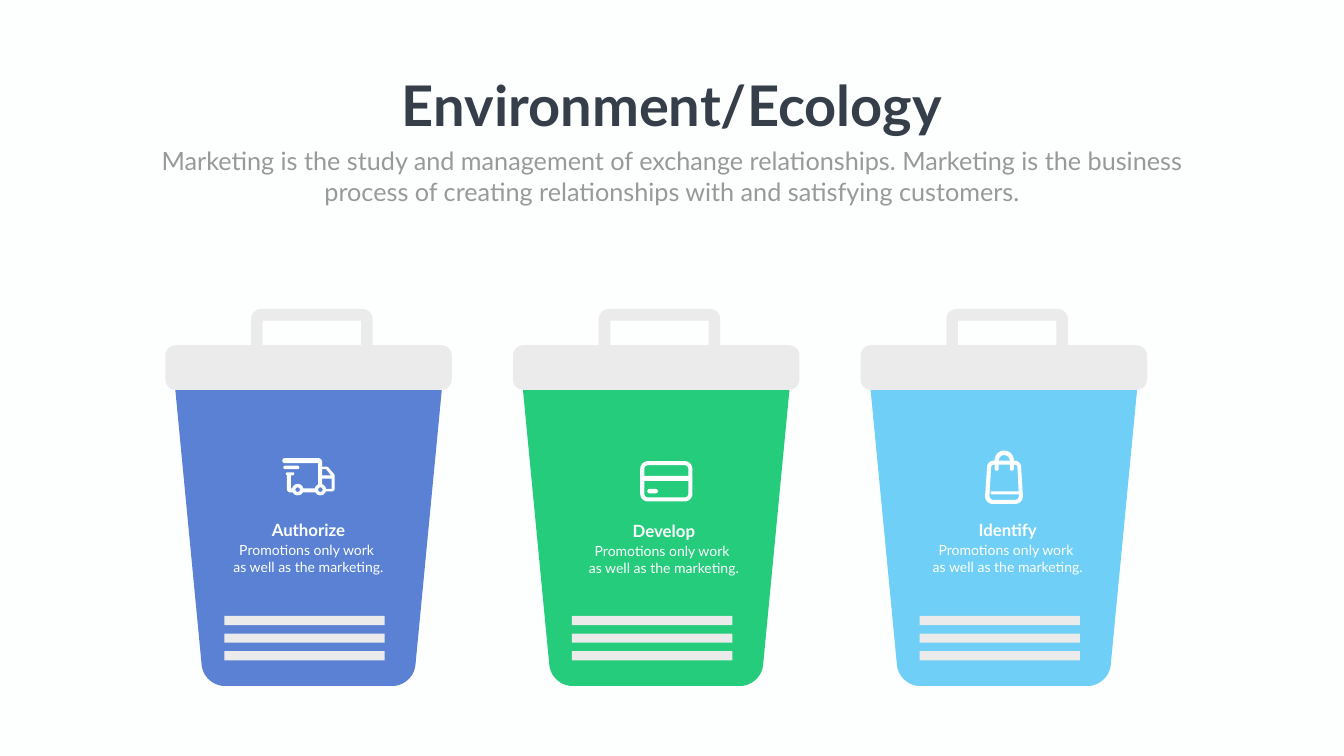
from dataclasses import dataclass
from math import dist
from typing import NamedTuple

from pptx import Presentation
from pptx.dml.color import RGBColor
from pptx.enum.shapes import MSO_SHAPE
from pptx.enum.text import MSO_ANCHOR, MSO_AUTO_SIZE, PP_ALIGN
from pptx.util import Pt

RECTANGLE = MSO_SHAPE.RECTANGLE
ROUNDED = MSO_SHAPE.ROUNDED_RECTANGLE
DONUT = MSO_SHAPE.DONUT
TOP = MSO_ANCHOR.TOP
NO_FIT = MSO_AUTO_SIZE.NONE
CENTER = PP_ALIGN.CENTER


@dataclass(frozen=True)
class Theme:
    font: str = "Lato"
    paper: str = "FDFFFE"
    ink: str = "353E49"
    muted: str = "989998"
    metal: str = "EAEBEA"
    blue: str = "5A81D4"
    green: str = "24CC7B"
    sky: str = "70CFF6"
    title: int = 80
    subtitle: int = 36
    label: int = 24
    caption: int = 20


THEME = Theme()


class Corner(NamedTuple):
    """Polygon corner; cut is how far along each edge its rounding starts."""
    x: float
    y: float
    cut: float = 0


class Preset(NamedTuple):
    kind: MSO_SHAPE
    left: float
    top: float
    width: float
    height: float
    adjustment: float | None = None


class Outline(NamedTuple):
    contours: list[list[Corner]]


class Bin(NamedTuple):
    label: str
    color: str
    icon: list[Preset | Outline]
    icon_at: tuple[float, float]
    label_at: tuple[float, float]


def rounded_box(left: float, top: float, width: float, height: float, cut: float) -> list[Corner]:
    right, bottom = left + width, top + height
    return [Corner(x, y, cut) for x, y in ((left, top), (right, top), (right, bottom), (left, bottom))]


TRUCK = [
    Outline([[Corner(0, 0, 3.6), Corner(56.9, 0, 5.8), Corner(56.9, 40.3), Corner(51.1, 41),
              Corner(51.1, 7.2), Corner(0, 7.2, 3.6)]]),
    Outline([[Corner(56.2, 12.2), Corner(64.8, 12.2, 2), Corner(74.9, 23.8, 1.4),
              Corner(74.9, 47.5, 4), Corner(58.3, 47.5), Corner(59.8, 43.9), Corner(70.6, 43.9),
              Corner(70.6, 25.9), Corner(62.6, 15.8), Corner(56.2, 15.8)]]),
    Outline([[Corner(6.5, 22.3), Corner(12.2, 22.3), Corner(12.2, 43.2), Corner(17.3, 43.2),
              Corner(18, 49), Corner(6.5, 49, 5)]]),
    Preset(RECTANGLE, 54, 24.5, 19.4, 4.7),
    Preset(RECTANGLE, 27.4, 43.2, 22.3, 5.8),
    Preset(DONUT, 13.7, 36.7, 16.6, 16.6, 0.3),
    Preset(DONUT, 46.1, 36.7, 16.6, 16.6, 0.3),
    Preset(ROUNDED, 1.4, 10.8, 23, 5, 0.5),
    Preset(ROUNDED, 5, 20.2, 12.2, 4.3, 0.5),
]
CARD = [
    Preset(RECTANGLE, 4, 20.9, 67.7, 7.2),
    Preset(ROUNDED, 10.1, 39.6, 15.1, 6.5, 0.5),
    Outline([rounded_box(0, 0, 74.5, 57.6, 11), rounded_box(5.8, 5.8, 62.9, 46, 5.4)]),
]
BAG = [
    Preset(RECTANGLE, 7.9, 58.3, 42.5, 4.3),
    Outline([[Corner(3.5, 14.4, 8.6), Corner(51, 14.4, 8.6), Corner(54.7, 76.3, 12), Corner(-0.7, 76.3, 12)],
             [Corner(8.9, 20.2, 3.6), Corner(46.1, 20.2, 3.6), Corner(48.6, 70.6, 6.5), Corner(5.9, 70.6, 6.5)]]),
    Outline([[Corner(13.7, 28.8, 2.8), Corner(13.7, 0, 13.6), Corner(41, 0, 13.6), Corner(41, 28.8, 2.8),
              Corner(35.3, 28.8, 2.8), Corner(35.3, 6.5, 7.9), Corner(19.4, 6.5, 7.9), Corner(19.4, 28.8, 2.8)]]),
]

BIN_LEFT, BIN_TOP, BIN_STEP = 236.2, 441.4, 496.5
BODY = Outline([[Corner(9.7, 68.4, 34), Corner(399.3, 68.4, 34), Corner(354.3, 538.6, 30), Corner(54.7, 538.6, 30)]])
FITTINGS = [
    Preset(ROUNDED, 0, 51.8, 409, 63.7, 0.23),
    Outline([rounded_box(122.4, 0, 173.5, 91.4, 14.4), rounded_box(139, 16.6, 140.4, 59, 0)]),
    *(Preset(RECTANGLE, 84.2, 438.5 + 25.2 * row, 229, 13) for row in range(3)),
]
BINS = [
    Bin("Authorize", THEME.blue, TRUCK, (403.2, 654.5), (372.2, 739.4)),
    Bin("Develop", THEME.green, CARD, (914.4, 658.8), (879.8, 740.9)),
    Bin("Identify", THEME.sky, BAG, (1406.9, 643.7), (1370.9, 739.4)),
]
CAPTION = ["Promotions only work ", "as well as the marketing."]


def toward(start, end, share: float) -> tuple[float, float]:
    return tuple(a + (b - a) * share for a, b in zip(start[:2], end[:2]))


def trace(corners: list[Corner], steps: int = 10) -> list[tuple[int, int]]:
    """Turn rounded corners into the points of a closed polygon."""
    points = []
    for index, corner in enumerate(corners):
        if not corner.cut:
            points.append(corner[:2])
            continue
        before, after = corners[index - 1], corners[(index + 1) % len(corners)]
        start, end = (toward(corner, other, corner.cut / dist(corner[:2], other[:2])) for other in (before, after))
        pull_in, pull_out = toward(start, corner, 0.55), toward(end, corner, 0.55)
        for step in range(steps + 1):
            t = step / steps
            weights = ((1 - t) ** 3, 3 * t * (1 - t) ** 2, 3 * t * t * (1 - t), t ** 3)
            curve = (start, pull_in, pull_out, end)
            points.append(tuple(sum(w * p[axis] for w, p in zip(weights, curve)) for axis in (0, 1)))
    return [(Pt(x), Pt(y)) for x, y in points]


def draw_part(page, part: Preset | Outline, left: float, top: float, color: str) -> None:
    if isinstance(part, Preset):
        shape = page.shapes.add_shape(part.kind, Pt(left + part.left), Pt(top + part.top),
                                      Pt(part.width), Pt(part.height))
        if part.adjustment is not None:
            shape.adjustments[0] = part.adjustment
    else:
        first, *others = [trace(contour) for contour in part.contours]
        builder = page.shapes.build_freeform(*first[0], scale=1.0)
        builder.add_line_segments(first[1:], close=True)
        for points in others:
            builder.move_to(*points[0])
            builder.add_line_segments(points[1:], close=True)
        shape = builder.convert_to_shape(Pt(left), Pt(top))
    shape.shadow.inherit = False
    shape.fill.solid()
    shape.fill.fore_color.rgb = RGBColor.from_string(color)
    shape.line.fill.background()


def write(box, lines: list[str], size: int, color: str, bold: bool = False, wrap: bool = True) -> None:
    frame = box.text_frame
    for name, value in {"word_wrap": wrap, "auto_size": NO_FIT, "vertical_anchor": TOP}.items():
        setattr(frame, name, value)
    for index, line in enumerate(lines):
        para = frame.add_paragraph() if index else frame.paragraphs[0]
        para.alignment, para.space_before = CENTER, Pt(0)
        span = para.add_run()
        span.text = line
        for name, value in {"name": THEME.font, "size": Pt(size), "bold": bold}.items():
            setattr(span.font, name, value)
        span.font.color.rgb = RGBColor.from_string(color)


def place(box, left: float, top: float, width: float, height: float) -> None:
    for name, value in {"left": left, "top": top, "width": width, "height": height}.items():
        setattr(box, name, Pt(value))


def draw_bin(page, item: Bin, left: float) -> None:
    draw_part(page, BODY, left, BIN_TOP, item.color)
    for part in FITTINGS:
        draw_part(page, part, left, BIN_TOP, THEME.metal)
    for part in item.icon:
        draw_part(page, part, *item.icon_at, THEME.paper)
    x, y = item.label_at
    label = page.shapes.add_textbox(Pt(x), Pt(y), Pt(136.8), Pt(36))
    write(label, [item.label], THEME.label, THEME.paper, bold=True)
    caption = page.shapes.add_textbox(Pt(x - 53.3), Pt(y + 31.2), Pt(243.4), Pt(55.4))
    write(caption, CAPTION, THEME.caption, THEME.paper)


def main() -> None:
    deck = Presentation()
    deck.slide_width, deck.slide_height = Pt(1919.5), Pt(1080)
    page = deck.slides.add_slide(deck.slide_layouts[0])
    page.background.fill.solid()
    page.background.fill.fore_color.rgb = RGBColor.from_string(THEME.paper)
    title, subtitle = page.placeholders
    place(title, 557.3, 97.2, 805, 104.4)
    write(title, ["Environment/Ecology"], THEME.title, THEME.ink, bold=True, wrap=False)
    place(subtitle, 210.2, 204.5, 1499, 94.3)
    write(subtitle, ["Marketing is the study and management of exchange relationships. Marketing is the business "
                     "process of creating relationships with and satisfying customers."],
          THEME.subtitle, THEME.muted)
    for index, item in enumerate(BINS):
        draw_bin(page, item, BIN_LEFT + index * BIN_STEP)
    deck.save("out.pptx")


if __name__ == "__main__":
    main()
